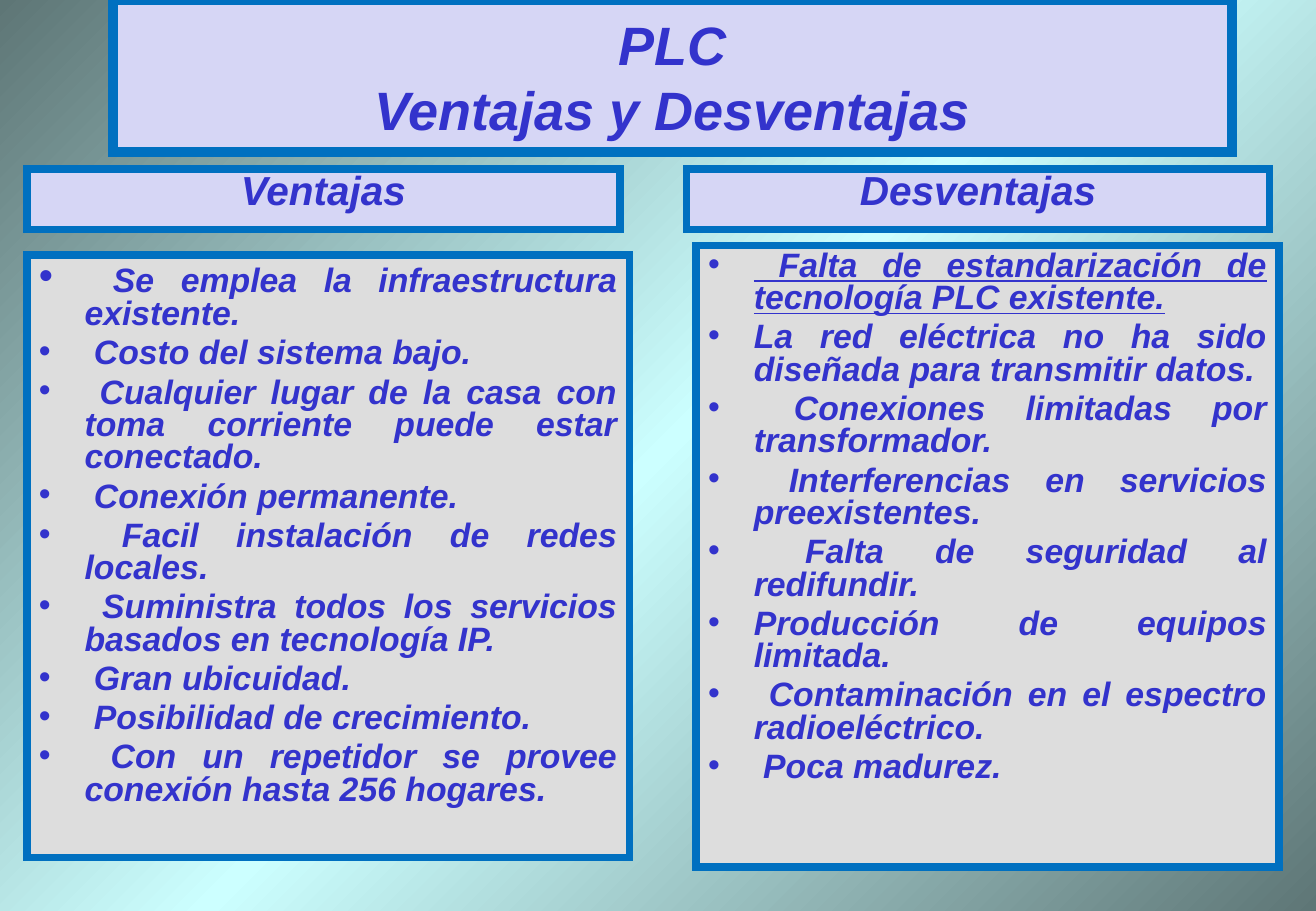
from copy import deepcopy

from lxml import etree
from pptx import Presentation
from pptx.dml.color import RGBColor
from pptx.enum.text import MSO_ANCHOR, MSO_AUTO_SIZE, PP_ALIGN
from pptx.oxml.ns import qn
from pptx.util import Cm, Pt

TOP, MIDDLE = MSO_ANCHOR.TOP, MSO_ANCHOR.MIDDLE
CENTER, JUSTIFY = PP_ALIGN.CENTER, PP_ALIGN.JUSTIFY
NO_AUTOFIT = MSO_AUTO_SIZE.NONE

TEXT_BLUE = RGBColor(0x33, 0x33, 0xCC)
BORDER_BLUE = RGBColor(0x00, 0x70, 0xC0)
LAVENDER = RGBColor(0xD6, 0xD6, 0xF5)
LIGHT_GRAY = RGBColor(0xDD, 0xDD, 0xDD)
DARK_TEAL = RGBColor(0x5E, 0x76, 0x76)
PALE_CYAN = RGBColor(0xCC, 0xFF, 0xFF)

ADVANTAGES = [
    " ",
    " Costo del sistema bajo.",
    " Cualquier lugar de la casa con toma corriente puede estar conectado.",
    " Conexión permanente.",
    " Facil instalación de redes locales.",
    " Suministra todos los servicios basados en tecnología IP.",
    " Gran ubicuidad.",
    " Posibilidad de crecimiento.",
    " Con un repetidor se provee conexión hasta 256 hogares.",
]
DISADVANTAGES = [
    " Falta de estandarización de tecnología PLC existente.",
    "La red eléctrica no ha sido diseñada para transmitir datos.",
    " Conexiones limitadas por transformador.",
    " Interferencias en servicios preexistentes.",
    " Falta de seguridad al redifundir.",
    "Producción de equipos limitada.",
    " Contaminación en el espectro radioeléctrico.",
    " Poca madurez.",
]


def style_run(run, size):
    run.font.name = "Arial"
    run.font.size = Pt(size)
    run.font.bold = True
    run.font.italic = True
    run.font.color.rgb = TEXT_BLUE


def fill_box(shape, box, color, border, lines, size, align, anchor, spacing):
    shape.left, shape.top, shape.width, shape.height = [Cm(length) for length in box]
    shape.fill.solid()
    shape.fill.fore_color.rgb = color
    shape.line.color.rgb = BORDER_BLUE
    shape.line.width = Pt(border)
    outline = shape.element.spPr.find(qn("a:ln"))
    etree.SubElement(outline, qn("a:miter")).set("lim", "800000")
    frame = shape.text_frame
    frame.text = "\n".join(lines)
    frame.auto_size = NO_AUTOFIT
    frame.vertical_anchor = anchor
    for index, paragraph in enumerate(frame.paragraphs):
        paragraph.alignment = align
        paragraph.line_spacing = spacing
        paragraph.space_before = Pt(4 if index else 0)
        for run in paragraph.runs:
            style_run(run, size)


presentation = Presentation()
presentation.slide_width = Cm(27.51)
presentation.slide_height = Cm(19.05)
slide = presentation.slides.add_slide(presentation.slide_layouts[4])

background = slide.background.fill
background.gradient()
background.gradient_angle = 315
first_stop, last_stop = background.gradient_stops
first_stop.color.rgb = DARK_TEAL
last_stop.color.rgb = DARK_TEAL
stop_list = next(slide.element.iter(qn("a:gsLst")))
stop_list.insert(1, deepcopy(stop_list[0]))
middle_stop = background.gradient_stops[1]
middle_stop.position = 0.5
middle_stop.color.rgb = PALE_CYAN

title, left_heading, left_list, right_heading, right_list = slide.placeholders
fill_box(title, (2.36, 0, 23.39, 3.18), LAVENDER, 6,
         ["PLC\vVentajas y Desventajas"], 32, CENTER, MIDDLE, 1.0)

columns = [
    (left_heading, (0.56, 3.53, 12.4, 1.27), "Ventajas",
     left_list, (0.56, 5.33, 12.6, 12.6), ADVANTAGES),
    (right_heading, (14.35, 3.53, 12.19, 1.27), "Desventajas",
     right_list, (14.55, 5.13, 12.19, 13), DISADVANTAGES),
]
for heading, heading_box, heading_text, items, items_box, lines in columns:
    fill_box(heading, heading_box, LAVENDER, 4.5, [heading_text], 24, CENTER, TOP, 0.8)
    fill_box(items, items_box, LIGHT_GRAY, 4.5, lines, 20, JUSTIFY, TOP, 0.8)

first_advantage = left_list.text_frame.paragraphs[0]
first_advantage.runs[0].font.size = Pt(24)
infrastructure = first_advantage.add_run()
infrastructure.text = "Se emplea la infraestructura existente."
style_run(infrastructure, 20)

right_list.text_frame.paragraphs[0].runs[0].font.underline = True

presentation.save("out.pptx")
